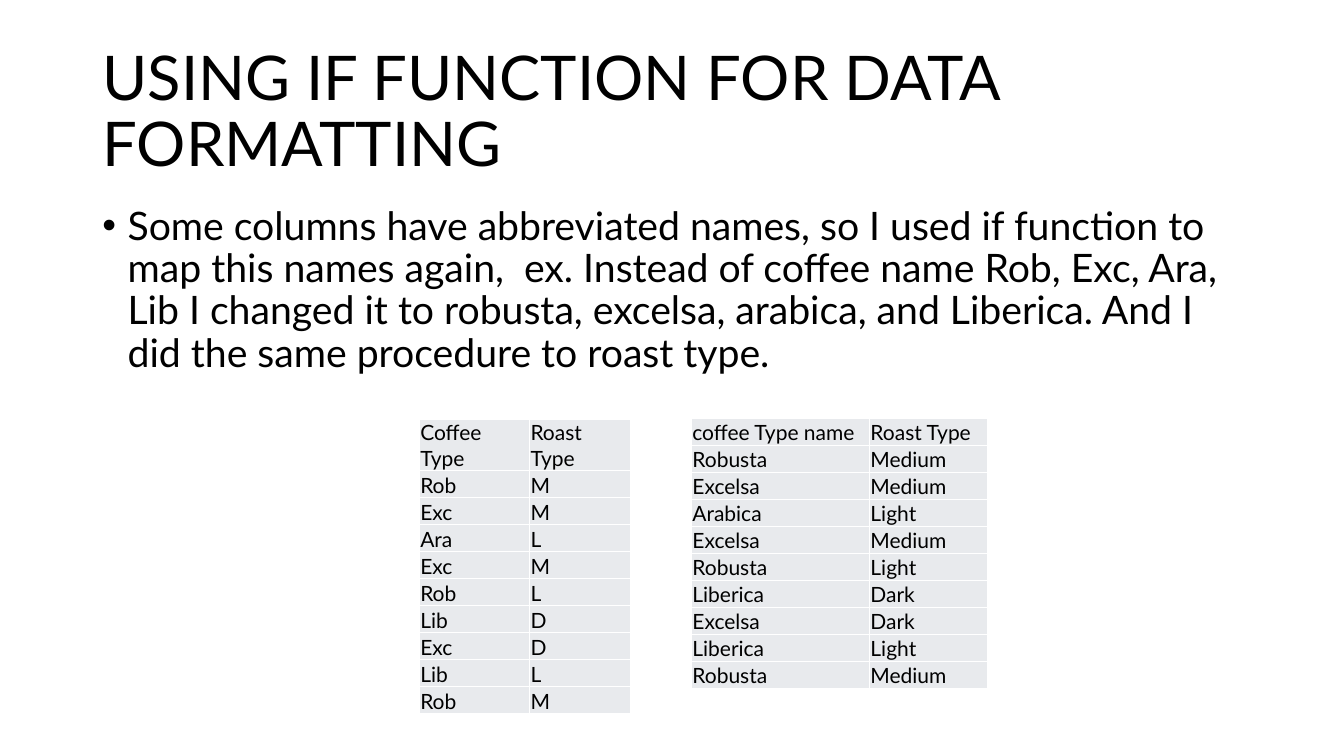
import pptx
import pptx.dml.color
import pptx.enum.text
import pptx.oxml
import pptx.oxml.ns
import pptx.util

Pt = pptx.util.Pt
ANCHOR = pptx.enum.text.MSO_ANCHOR

TITLE = "USING IF FUNCTION FOR DATA FORMATTING"
BODY = ("Some columns have abbreviated names, so I used if function to map this "
        "names again,  ex. Instead of coffee name Rob, Exc, Ara, Lib I changed it "
        "to robusta, excelsa, arabica, and Liberica. And I did the same procedure "
        "to roast type.")
COFFEE = {"Rob": "Robusta", "Exc": "Excelsa", "Ara": "Arabica", "Lib": "Liberica"}
ROAST = {"L": "Light", "M": "Medium", "D": "Dark"}
ORDERS = [("Rob", "M"), ("Exc", "M"), ("Ara", "L"), ("Exc", "M"), ("Rob", "L"),
          ("Lib", "D"), ("Exc", "D"), ("Lib", "L"), ("Rob", "M")]

CODES = [("Coffee Type", "Roast Type")] + ORDERS
NAMES = [("coffee Type name", "Roast Type")] + [(COFFEE[c], ROAST[r]) for c, r in ORDERS]

# rows, left, top, column widths
TABLES = [(NAMES, 493.9, 298.8, (127.2, 84.6)),
          (CODES, 299.5, 299.5, (78.8, 72))]

FONT, INK, CELL, RULE = "Lato", "000000", "E8EAED", "FFFFFF"
ROW_H = 19.3


def rgb(color):
    return pptx.dml.color.RGBColor.from_string(color)


def style(p, size):
    for r in p.runs:
        r.font.size, r.font.name = Pt(size), FONT
        r.font.color.rgb = rgb(INK)


def fill_placeholder(sp, text, size, box, anchor):
    sp.left, sp.top, sp.width, sp.height = map(Pt, box)
    tf = sp.text_frame
    tf.text = text
    tf.auto_size = pptx.enum.text.MSO_AUTO_SIZE.NONE
    tf.vertical_anchor = anchor
    p = tf.paragraphs[0]
    p.alignment = pptx.enum.text.PP_ALIGN.LEFT
    p.line_spacing = 0.9
    style(p, size)
    return p


def add_borders(cell):
    tc_pr = cell._tc.get_or_add_tcPr()
    for side in "LRTB":
        tc_pr.append(pptx.oxml.parse_xml(
            f'<a:ln{side} {pptx.oxml.ns.nsdecls("a")} w="{Pt(1)}"><a:solidFill>'
            f'<a:srgbClr val="{RULE}"/></a:solidFill></a:ln{side}>'))


def add_table(s, rows, left, top, widths):
    frame = s.shapes.add_table(len(rows), len(widths), Pt(left), Pt(top),
                               Pt(sum(widths)), Pt(ROW_H * len(rows)))
    table = frame.table
    for col, width in zip(table.columns, widths):
        col.width = Pt(width)
    for i, row in enumerate(rows):
        table.rows[i].height = Pt(ROW_H)
        for j, text in enumerate(row):
            cell = table.cell(i, j)
            cell.text = text
            cell.margin_left = cell.margin_right = cell.margin_top = Pt(0.7)
            cell.margin_bottom = 0
            cell.vertical_anchor = ANCHOR.BOTTOM if i else ANCHOR.MIDDLE
            add_borders(cell)
            cell.fill.solid()
            cell.fill.fore_color.rgb = rgb(CELL)
            p = cell.text_frame.paragraphs[0]
            style(p, 15)
            p.runs[0].font.bold = False


prs = pptx.Presentation()
prs.slide_width, prs.slide_height = Pt(960), Pt(540)
s = prs.slides.add_slide(prs.slide_layouts[1])

fill_placeholder(s.shapes.title, TITLE, 44, (66, 28.75, 855.5, 104.4), ANCHOR.MIDDLE)
p = fill_placeholder(s.placeholders[1], BODY, 28, (66, 143.75, 828, 342.6), ANCHOR.TOP)
p.space_before = Pt(10)
p_pr = p._p.get_or_add_pPr()
p_pr.set("marL", str(Pt(18)))
p_pr.set("indent", str(Pt(-18)))

for spec_row in TABLES:
    add_table(s, *spec_row)

prs.save("out.pptx")
